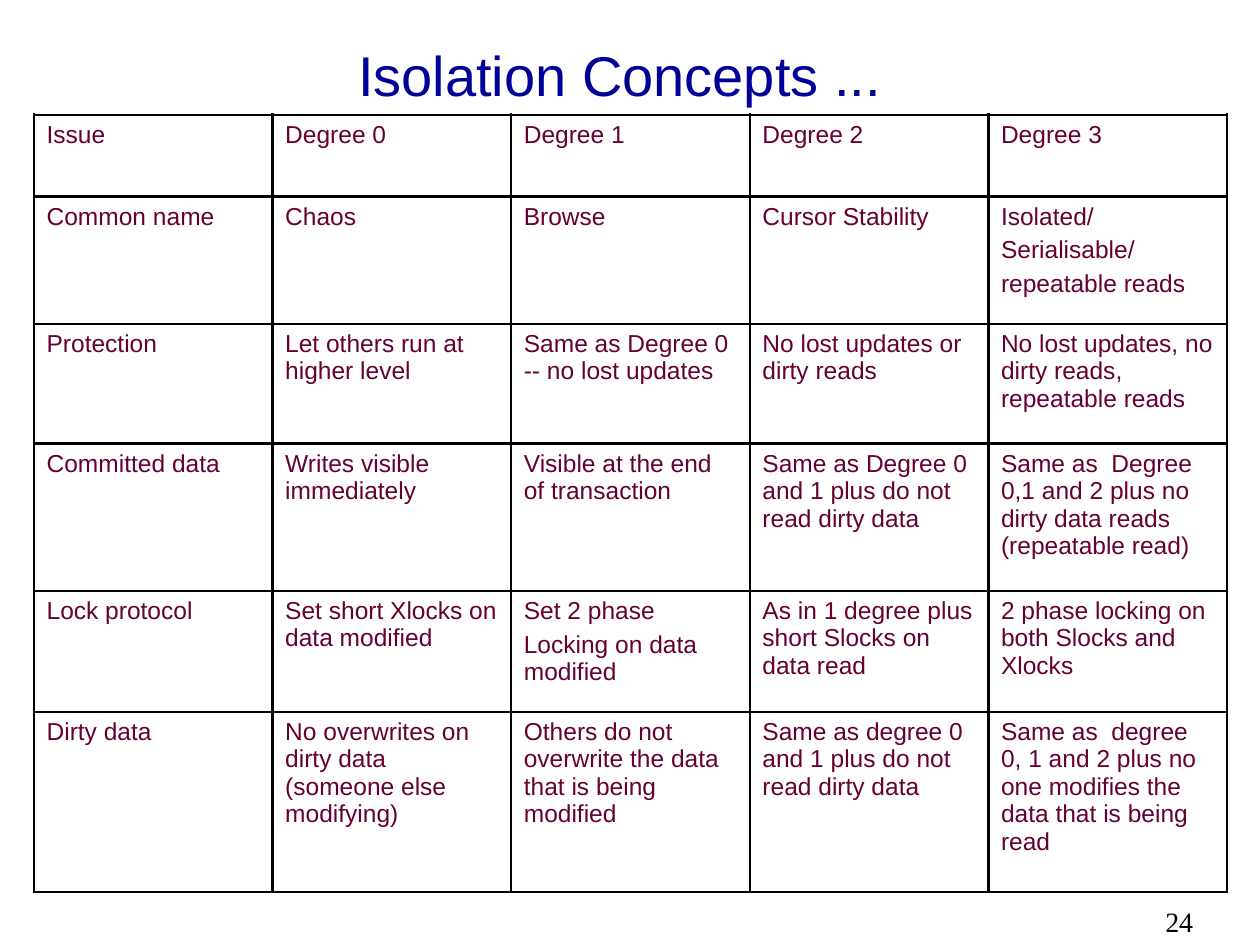
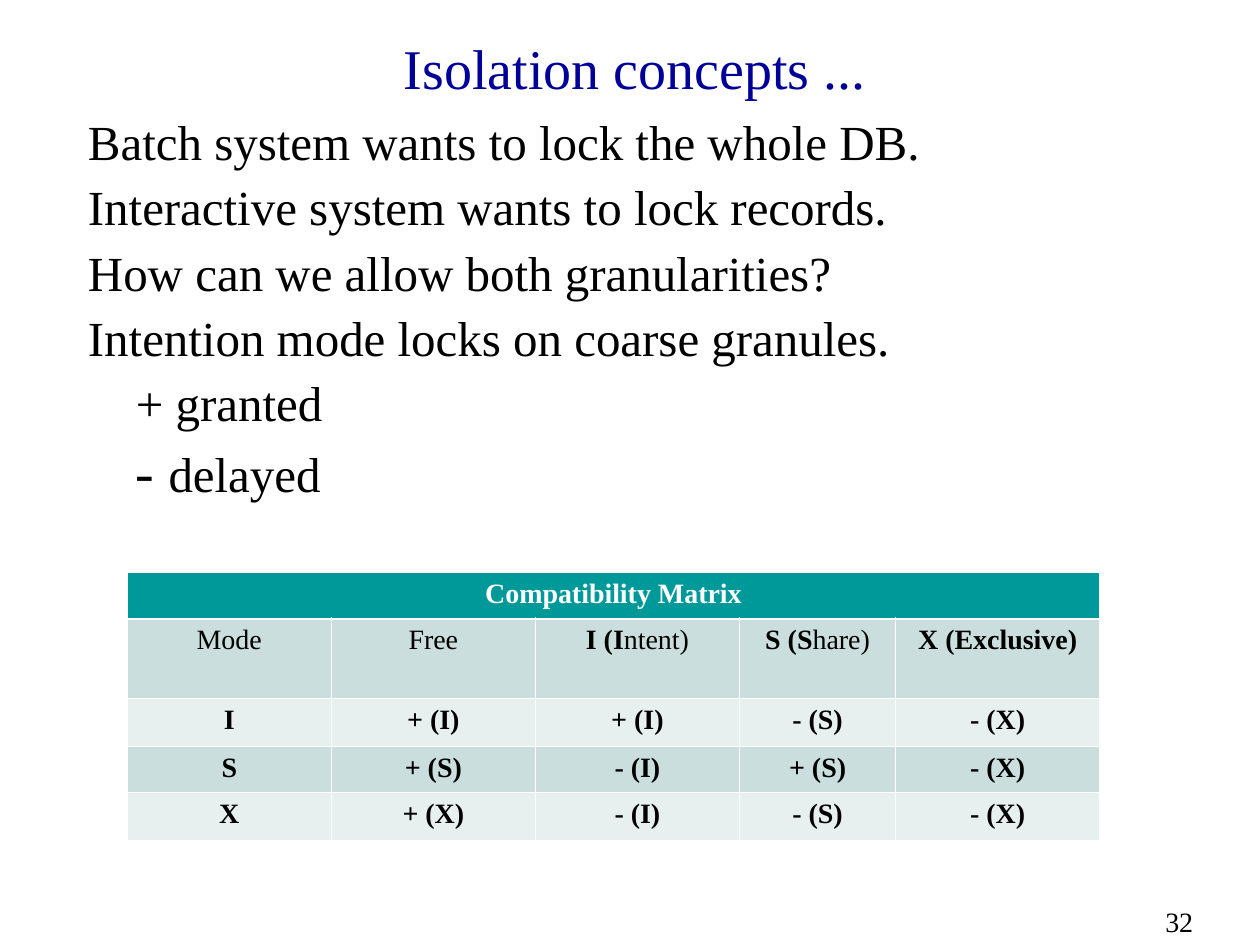
from dataclasses import dataclass

from lxml import etree
from pptx import Presentation
from pptx.dml.color import RGBColor
from pptx.enum.text import MSO_ANCHOR, MSO_AUTO_SIZE, PP_ALIGN
from pptx.oxml.ns import qn
from pptx.util import Inches, Pt


@dataclass(frozen=True)
class Theme:
    sans: str = "Arial"
    serif: str = "Times New Roman"
    title: str = "000099"
    text: str = "000000"
    plum: str = "660033"
    white: str = "FFFFFF"
    teal: str = "009999"
    band_dark: str = "CBDEDE"
    band_light: str = "E7EFEF"
    title_size: int = 32
    body_size: int = 28
    dash_size: int = 32
    matrix_size: int = 16
    issue_size: int = 14
    number_size: int = 16
    thin: float = 0.45
    thick: float = 1.47


THEME = Theme()


def write_text(frame, paragraphs, font=THEME.serif, size=THEME.matrix_size, color=THEME.text,
               bold=False, align=PP_ALIGN.LEFT, anchor=MSO_ANCHOR.TOP, before=0, line=None):
    """Fill a frame; a paragraph is a string or a list of (text, run overrides)."""
    frame.word_wrap = True
    frame.auto_size = MSO_AUTO_SIZE.NONE
    frame.vertical_anchor = anchor
    for index, runs in enumerate(paragraphs):
        paragraph = frame.add_paragraph() if index else frame.paragraphs[0]
        paragraph.alignment = align
        paragraph.space_before = Pt(before if index else 0)
        paragraph.line_spacing = line
        for text, overrides in [(runs, {})] if isinstance(runs, str) else runs:
            run = paragraph.add_run()
            run.text = text
            run.font.name = font
            run.font.size = Pt(overrides.get("size", size))
            run.font.bold = overrides.get("bold", bold)
            run.font.color.rgb = RGBColor.from_string(color)


def style_cell(cell, fill, border, width, **edge_widths):
    """Draw the four borders (L, R, T, B override the width), then the fill."""
    properties = cell._tc.get_or_add_tcPr()
    for edge in "LRTB":
        points = edge_widths.get(edge, width)
        line = etree.SubElement(properties, qn(f"a:ln{edge}"), w=str(Pt(points)))
        solid = etree.SubElement(line, qn("a:solidFill"))
        etree.SubElement(solid, qn("a:srgbClr"), val=border)
    cell.fill.solid()
    cell.fill.fore_color.rgb = RGBColor.from_string(fill)


presentation = Presentation()
presentation.slide_width = Inches(10)
presentation.slide_height = Inches(7.5)
title_only = presentation.slide_layouts[5]

# Titles and slide numbers
slides = []
for title, font, left, top, number in [
    ("Isolation Concepts ...", THEME.sans, 0.67, 0.24, "24"),
    ("Isolation concepts ...", THEME.serif, 0.79, 0.19, "32"),
]:
    slide = presentation.slides.add_slide(title_only)
    shape = slide.shapes.title
    shape.left, shape.top = Inches(left), Inches(top)
    shape.width, shape.height = Inches(8.5), Inches(0.69)
    write_text(shape.text_frame, [title], font=font, size=THEME.title_size, color=THEME.title,
               align=PP_ALIGN.CENTER, anchor=MSO_ANCHOR.MIDDLE)
    number_box = slide.shapes.add_textbox(Inches(9.15), Inches(7.13), Inches(0.85), Inches(0.37))
    write_text(number_box.text_frame, [number], size=THEME.number_size)
    slides.append(slide)
degrees_slide, locks_slide = slides

# Degrees of isolation
degree_rows = [
    (0.65, ["Issue", "Degree 0", "Degree 1", "Degree 2", "Degree 3"]),
    (1.01, ["Common name", "Chaos", "Browse", "Cursor Stability",
            "Isolated/\nSerialisable/\nrepeatable reads"]),
    (0.95, ["Protection", "Let others run at higher level",
            "Same as Degree 0 -- no lost updates", "No lost updates or dirty reads",
            "No lost updates, no dirty reads, repeatable reads"]),
    (1.17, ["Committed data", "Writes visible immediately", "Visible at the end of transaction",
            "Same as Degree 0 and 1 plus do not read dirty data",
            "Same as  Degree 0,1 and 2 plus no dirty data reads (repeatable read)"]),
    (0.96, ["Lock protocol", "Set short Xlocks on data modified",
            "Set 2 phase\nLocking on data modified",
            "As in 1 degree plus short Slocks on data read",
            "2 phase locking on both Slocks and Xlocks"]),
    (1.43, ["Dirty data", "No overwrites on  dirty data (someone else modifying)",
            "Others do not overwrite the data that is being modified",
            "Same as degree 0 and 1 plus do not read dirty data",
            "Same as  degree 0, 1 and 2 plus no one modifies the data that is being read"]),
]
degrees = degrees_slide.shapes.add_table(
    len(degree_rows), 5, Inches(0.27), Inches(0.91), Inches(9.47), Inches(6.17)).table
degrees.first_row = degrees.horz_banding = False
for row, (height, texts) in zip(degrees.rows, degree_rows):
    row.height = Inches(height)
    for cell, text in zip(row.cells, texts):
        style_cell(cell, THEME.white, THEME.text, THEME.thick)
        write_text(cell.text_frame, text.split("\n"), font=THEME.sans, size=THEME.issue_size,
                   color=THEME.plum, before=3.5)

# Lock granularity
statements = [
    "Batch system wants to lock the whole DB.",
    "Interactive system wants to lock records.",
    "How can we allow both granularities?",
    "Intention mode locks on coarse granules.",
]
outcomes = ["+ granted", [("- ", {"size": THEME.dash_size}), ("delayed", {})]]
body = locks_slide.shapes.add_textbox(Inches(0.6), Inches(0.89), Inches(8.5), Inches(3.26))
write_text(body.text_frame, statements + outcomes, size=THEME.body_size, before=7, line=0.9)
for paragraph in body.text_frame.paragraphs[len(statements):]:
    paragraph._p.get_or_add_pPr().set("marL", str(Inches(0.38)))

# Compatibility matrix
strong = {"bold": True}
modes = ["Mode", "Free", [("I (I", strong), ("ntent)", {})], [("S (S", strong), ("hare)", {})],
         [("X (Exclusive)", strong)]]
matrix_rows = [
    (0.37, ["Compatibility Matrix"]),
    (0.63, modes),
    (0.38, ["I", "+ (I)", "+ (I)", "- (S)", "- (X)"]),
    (0.37, ["S", "+ (S)", "- (I)", "+ (S)", "- (X)"]),
    (0.38, ["X", "+ (X)", "- (I)", "- (S)", "- (X)"]),
]
matrix = locks_slide.shapes.add_table(
    len(matrix_rows), 5, Inches(1.01), Inches(4.54), Inches(7.72), Inches(2.13)).table
matrix.first_row = matrix.horz_banding = False
for column, width in zip(matrix.columns, [1.62, 1.62, 1.62, 1.24, 1.62]):
    column.width = Inches(width)
matrix.cell(0, 0).merge(matrix.cell(0, 4))
row_fills = [THEME.teal] + [THEME.band_dark, THEME.band_light] * 2
heading_edges = {0: {"B": THEME.thick}, 1: {"T": THEME.thick}}
for index, (row, (height, texts)) in enumerate(zip(matrix.rows, matrix_rows)):
    row.height = Inches(height)
    for cell in row.cells:
        style_cell(cell, row_fills[index], THEME.white, THEME.thin, **heading_edges.get(index, {}))
    for cell, text in zip(row.cells, texts):
        write_text(cell.text_frame, [text], color=THEME.text if index else THEME.white,
                   bold=index != 1, align=PP_ALIGN.CENTER)

presentation.save("out.pptx")
